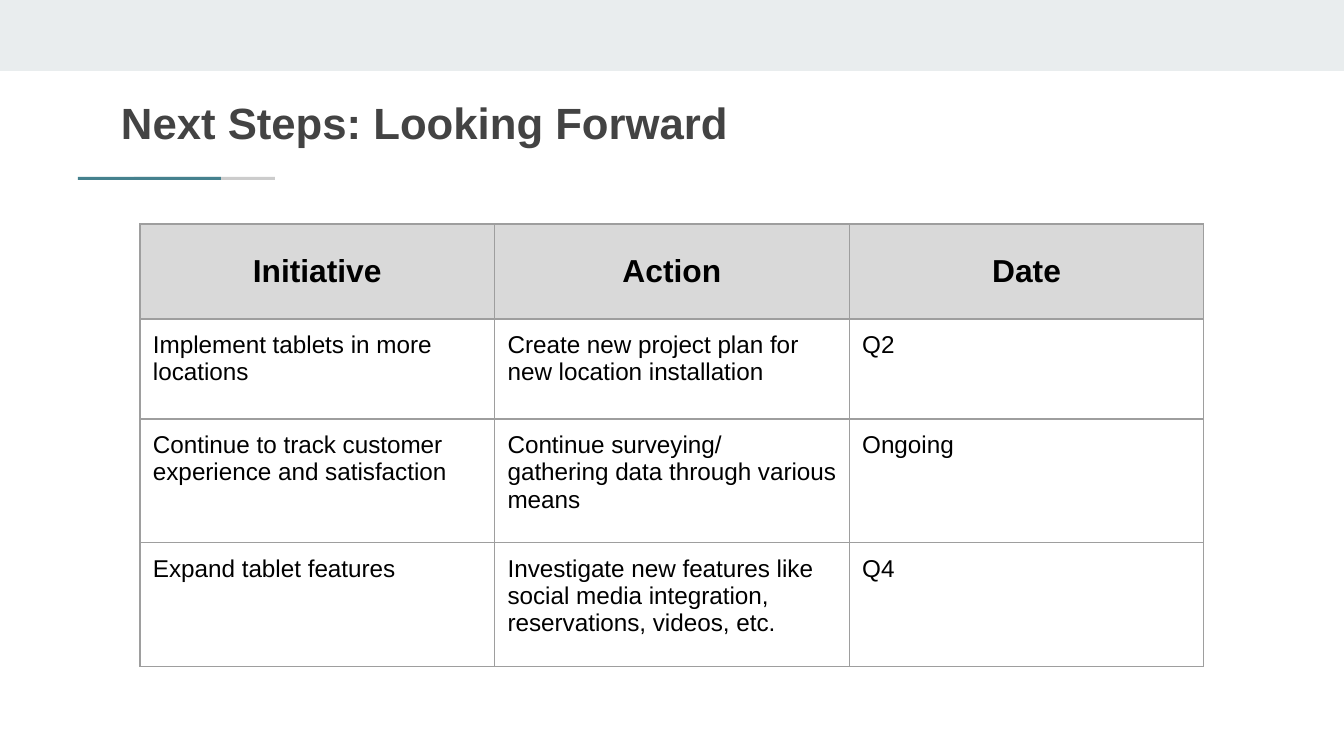
from dataclasses import dataclass

from lxml.etree import SubElement
from pptx import Presentation
from pptx.dml.color import RGBColor
from pptx.enum.shapes import MSO_SHAPE
from pptx.enum.text import MSO_ANCHOR, PP_ALIGN
from pptx.oxml.ns import qn
from pptx.util import Emu, Pt

EMU_PER_PX = 914400 / 134.4


@dataclass(frozen=True)
class Theme:
    """Colours, font and type sizes of the slide."""
    font: str = "Arial"
    band: str = "E9EDEE"
    rule: str = "CCCCCC"
    accent: str = "45818E"
    title: str = "434343"
    text: str = "000000"
    header: str = "D9D9D9"
    border: str = "9E9E9E"
    border_pt: float = 0.75
    title_pt: float = 23.4
    header_pt: float = 17
    body_pt: float = 13


@dataclass(frozen=True)
class Bar:
    """A plain filled rectangle, in pixels."""
    left: int
    top: int
    width: int
    height: int
    color: str


@dataclass(frozen=True)
class Row:
    """A table row: its height in pixels and its cell texts."""
    height: int
    cells: tuple[str, ...]


THEME = Theme()
INSET = 13
BARS = (
    Bar(0, 0, 1344, 71, THEME.band),
    Bar(134, 177, 141, 3, THEME.rule),
    Bar(78, 177, 143, 3, THEME.accent),
)
TABLE_LEFT, TABLE_TOP, TABLE_WIDTH = 140, 224, 1064
ROWS = (
    Row(95, ("Initiative", "Action", "Date")),
    Row(100, ("Implement tablets in more locations",
              "Create new project plan for new location installation", "Q2")),
    Row(124, ("Continue to track customer experience and satisfaction",
              "Continue surveying/\ngathering data through various means", "Ongoing")),
    Row(124, ("Expand tablet features",
              "Investigate new features like social media integration, "
              "reservations, videos, etc.", "Q4")),
)


def px(n: float) -> Emu:
    """Turn picture pixels into EMU."""
    return Emu(round(n * EMU_PER_PX))


def set_margins(box) -> None:
    """Give a text frame or a cell the same inset on all sides."""
    box.margin_left = box.margin_right = px(INSET)
    box.margin_top = box.margin_bottom = px(INSET)


def style_text(tf, size: float, color: str, bold: bool, align=PP_ALIGN.LEFT) -> None:
    """Set font and alignment on every paragraph."""
    for p in tf.paragraphs:
        p.alignment = align
        p.font.name = THEME.font
        p.font.size = Pt(size)
        p.font.bold = bold
        p.font.color.rgb = RGBColor.from_string(color)


def add_bar(slide, bar: Bar) -> None:
    """Draw one filled rectangle without outline."""
    sp = slide.shapes.add_shape(MSO_SHAPE.RECTANGLE, px(bar.left), px(bar.top),
                                px(bar.width), px(bar.height))
    sp.shadow.inherit = False
    sp.fill.solid()
    sp.fill.fore_color.rgb = RGBColor.from_string(bar.color)
    sp.line.fill.background()


def add_title(slide, text: str) -> None:
    """Write the slide title."""
    tf = slide.shapes.add_textbox(px(108), px(82), px(1130), px(79)).text_frame
    tf.word_wrap = True
    tf.vertical_anchor = MSO_ANCHOR.BOTTOM
    set_margins(tf)
    tf.text = text
    style_text(tf, THEME.title_pt, THEME.title, True)


def add_borders(cell) -> None:
    """Draw a thin line on all four sides of a cell."""
    tc_pr = cell._tc.get_or_add_tcPr()
    for i, side in enumerate(("lnL", "lnR", "lnT", "lnB")):
        ln = SubElement(tc_pr, qn(f"a:{side}"), w=str(Pt(THEME.border_pt)))
        fill = SubElement(ln, qn("a:solidFill"))
        SubElement(fill, qn("a:srgbClr"), val=THEME.border)
        tc_pr.remove(ln)
        tc_pr.insert(i, ln)


def fill_cell(cell, text: str, is_header: bool) -> None:
    """Write and style one table cell."""
    set_margins(cell)
    cell.text = text
    if is_header:
        cell.vertical_anchor = MSO_ANCHOR.MIDDLE
        cell.fill.solid()
        cell.fill.fore_color.rgb = RGBColor.from_string(THEME.header)
        style_text(cell.text_frame, THEME.header_pt, THEME.text, True, PP_ALIGN.CENTER)
    else:
        cell.fill.background()
        style_text(cell.text_frame, THEME.body_pt, THEME.text, False)
    add_borders(cell)


def add_plan_table(slide, rows: tuple[Row, ...]) -> None:
    """Build the table of next steps with equal columns."""
    n_cols = len(rows[0].cells)
    height = sum(row.height for row in rows)
    table = slide.shapes.add_table(len(rows), n_cols, px(TABLE_LEFT), px(TABLE_TOP),
                                   px(TABLE_WIDTH), px(height)).table
    table.horz_banding = False
    for col in table.columns:
        col.width = px(TABLE_WIDTH / n_cols)
    for r, row in enumerate(rows):
        table.rows[r].height = px(row.height)
        for c, text in enumerate(row.cells):
            fill_cell(table.cell(r, c), text, r == 0)


def main() -> None:
    """Build and save the slide."""
    prs = Presentation()
    prs.slide_width, prs.slide_height = px(1344), px(756)
    slide = prs.slides.add_slide(prs.slide_layouts[6])
    for bar in BARS:
        add_bar(slide, bar)
    add_title(slide, "Next Steps: Looking Forward")
    add_plan_table(slide, ROWS)
    prs.save("out.pptx")


main()
